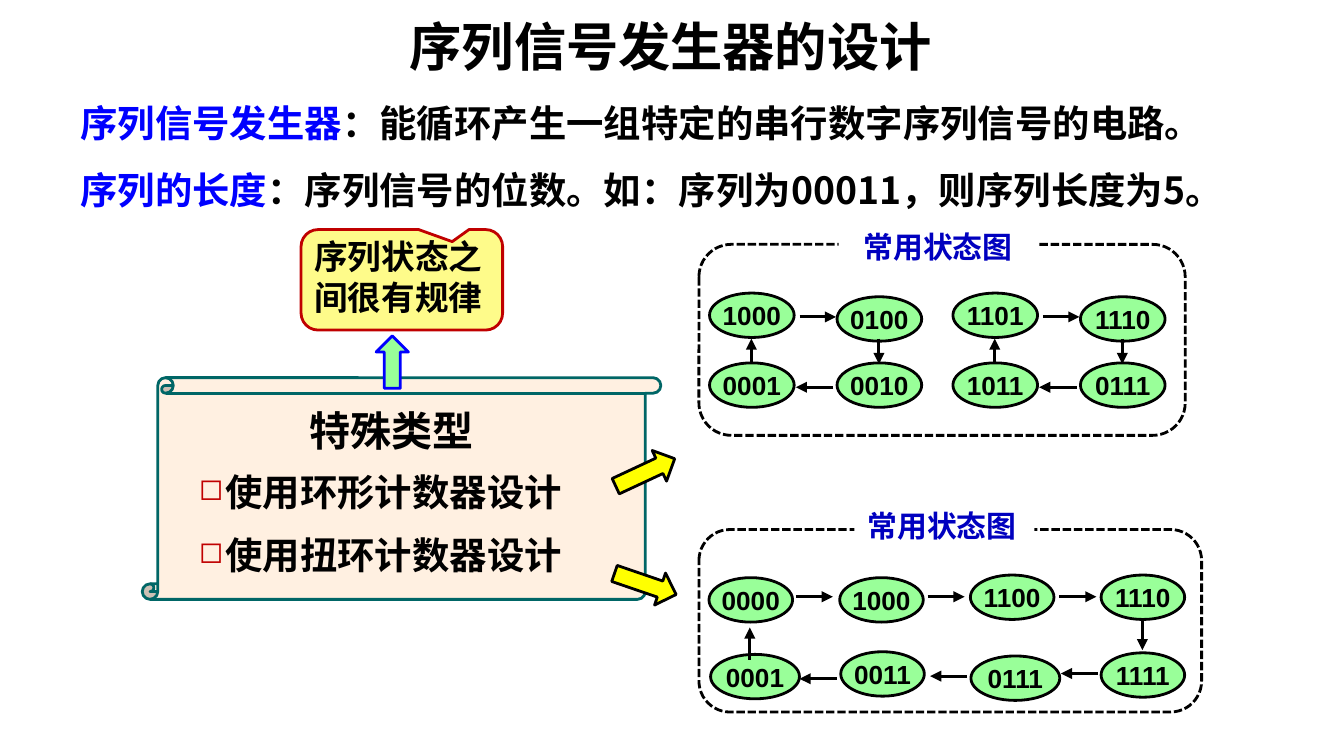
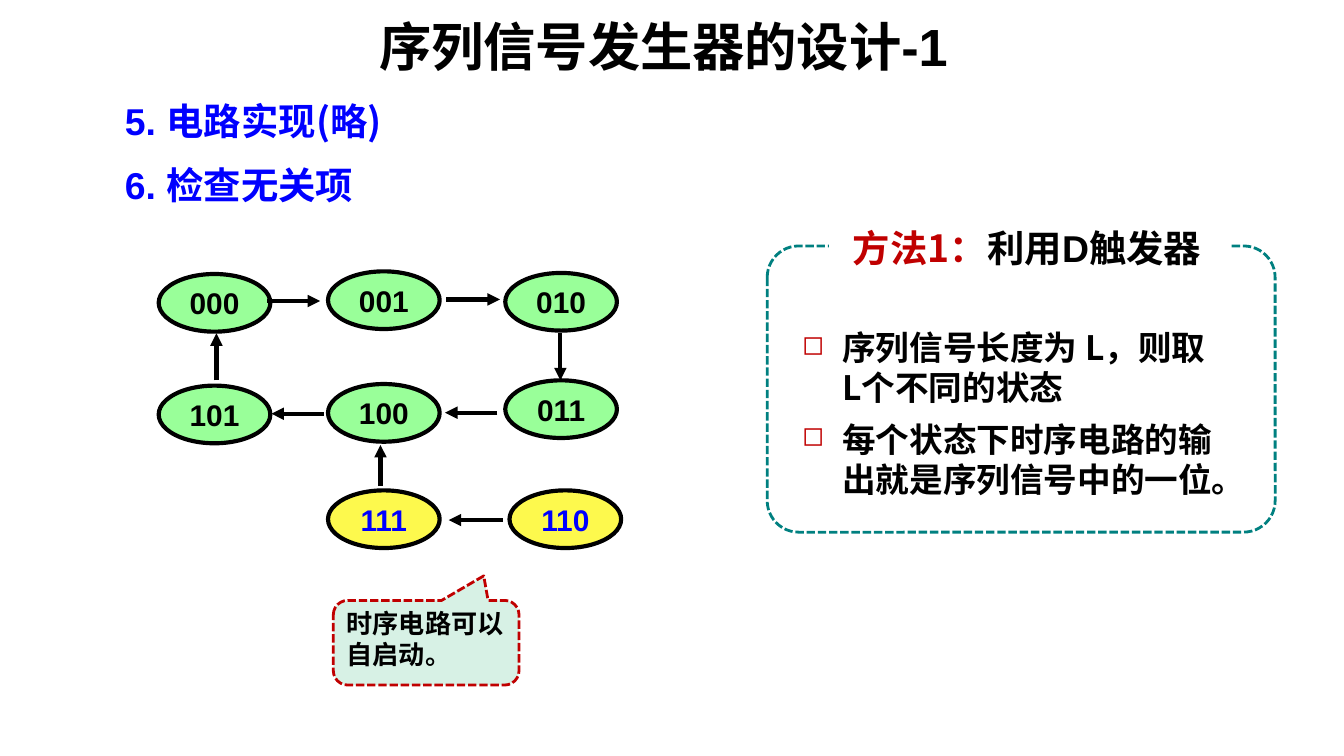
from lxml.etree import SubElement
from pptx import Presentation
from pptx.dml.color import RGBColor
from pptx.enum.dml import MSO_LINE_DASH_STYLE as Dash
from pptx.enum.shapes import MSO_CONNECTOR as Connector, MSO_SHAPE as Shape
from pptx.enum.text import MSO_ANCHOR as Anchor, MSO_AUTO_SIZE as AutoSize, PP_ALIGN as Align
from pptx.oxml.ns import qn
from pptx.util import Cm, Pt

CJK, LATIN = "Noto Sans CJK SC", "Arial"
BLACK, WHITE, BLUE, NAVY, RED = "000000", "FFFFFF", "0000FF", "0000BF", "C00000"
GREEN, YELLOW = "99FF99", "FDF94D"


def paint(target, color):
    """Give a fill a solid hex colour, or none."""
    if color:
        target.solid()
        target.fore_color.rgb = RGBColor.from_string(color)
    else:
        target.background()


def style_font(font, color=None, name=None, size=None):
    """Set the given font properties, using the CJK face for Chinese glyphs."""
    if size:
        font.size, font.bold = Pt(size), True
    if color:
        paint(font.fill, color)
    if name:
        font.name = name
        SubElement(font._element, qn("a:ea"), typeface=CJK)


def add_bullet(para, hang):
    """Give a paragraph a hanging red square bullet."""
    props = para._p.get_or_add_pPr()
    props.set("marL", str(Cm(hang)))
    props.set("indent", str(-Cm(hang)))
    SubElement(SubElement(props, qn("a:buClr")), qn("a:srgbClr"), val=RED)
    SubElement(props, qn("a:buSzPct"), val="80000")
    SubElement(props, qn("a:buChar"), char="◻")


class Board:
    """Draws the elements of the deck on its current page."""

    def __init__(self):
        """Open an empty widescreen deck."""
        self.deck = Presentation()
        self.deck.slide_width, self.deck.slide_height = Cm(25.4), Cm(14.29)
        self.page = None

    def new_page(self, left, width, *title):
        """Start a page with a centred title."""
        self.page = self.deck.slides.add_slide(self.deck.slide_layouts[6])
        self.text((left, 0.15, width, 1.45), [title], 28, align=Align.CENTER)

    def fill_frame(self, frame, paras, size, color=BLACK, name=CJK, align=Align.LEFT,
                   spacing=None, gap=0, hang=0, first=0):
        """Fill a text frame; a paragraph is a list of (text, colour, font) spans."""
        for index, spans in enumerate(paras):
            para = frame.add_paragraph() if index else frame.paragraphs[0]
            para.alignment = align
            if hang:
                add_bullet(para, hang)
            if first:
                para._p.get_or_add_pPr().set("indent", str(Cm(first)))
            if spacing:
                para.line_spacing = spacing
            if index and gap:
                para.space_before = Pt(gap)
            mixed = any(len(parts) > 2 for parts in spans)
            style_font(para.font, color, None if mixed else name, size)
            for text, *look in spans:
                span = para.add_run()
                span.text = text
                if mixed and len(look) < 2:
                    look = [look[0] if look else None, name]
                style_font(span.font, *look)

    def text(self, place, paras, size, **style):
        """Add a wrapping text box."""
        box = self.page.shapes.add_textbox(*map(Cm, place))
        box.text_frame.word_wrap = True
        box.text_frame.auto_size = AutoSize.SHAPE_TO_FIT_TEXT
        self.fill_frame(box.text_frame, paras, size, **style)

    def shape(self, kind, place, fill=None, line=None, width=1.5, dashed=False, adjust=(), turn=0):
        """Add a flat preset shape."""
        box = self.page.shapes.add_shape(kind, *map(Cm, place))
        box.shadow.inherit = False
        paint(box.fill, fill)
        paint(box.line.fill, line)
        if line:
            box.line.width = Pt(width)
        if dashed:
            box.line.dash_style = Dash.SQUARE_DOT
        for index, value in enumerate(adjust):
            box.adjustments[index] = value
        box.rotation = turn
        return box

    def state(self, code, left, top, width=1.6, height=0.84, size=14, line=1.5,
              fill=GREEN, color=BLACK):
        """Add an oval state with its code."""
        frame = self.shape(Shape.OVAL, (left, top, width, height), fill, BLACK, line).text_frame
        frame.margin_left = frame.margin_right = frame.margin_top = frame.margin_bottom = 0
        frame.vertical_anchor, frame.word_wrap = Anchor.MIDDLE, False
        self.fill_frame(frame, [[(code,)]], size, color, LATIN, Align.CENTER)

    def arrow(self, x1, y1, x2, y2, width=1.5):
        """Add a black arrow between two points."""
        link = self.page.shapes.add_connector(Connector.STRAIGHT, *map(Cm, (x1, y1, x2, y2)))
        link.line.width = Pt(width)
        paint(link.line.fill, BLACK)
        SubElement(link.line._get_or_add_ln(), qn("a:tailEnd"), type="triangle")
        SubElement(link._element.spPr, qn("a:effectLst"))

    def panel(self, place, label_place, spans, size, line=BLACK, corner=0.17, **style):
        """Add a dashed rounded frame with a label over its top edge."""
        self.shape(Shape.ROUNDED_RECTANGLE, place, None, line, dashed=True, adjust=[corner])
        frame = self.shape(Shape.RECTANGLE, label_place, WHITE).text_frame
        frame.word_wrap, frame.vertical_anchor = True, Anchor.TOP
        self.fill_frame(frame, [spans], size, **style)

    def ring(self, codes, shift):
        """Draw a four-state cycle moved right by a shift."""
        spots = [(13.41, 5.54), (15.82, 5.61), (15.82, 6.86), (13.41, 6.86)]
        for code, (left, top) in zip(codes, spots):
            self.state(code, left + shift, top)
        for x1, y1, x2, y2 in [(15.11, 5.99, 15.8, 5.99), (15.75, 7.32, 15.04, 7.32),
                               (14.2, 6.88, 14.2, 6.4), (16.61, 6.4, 16.61, 6.88)]:
            self.arrow(x1 + shift, y1, x2 + shift, y2)

    def twisted_ring(self):
        """Draw the eight-state cycle."""
        upper = [("0000", 10.92), ("1000", 10.92), ("1100", 10.87), ("1110", 10.87)]
        lower = [("0001", 12.37, 1.68), ("0011", 12.32, 1.58),
                 ("0111", 12.4, 1.68), ("1111", 12.34, 1.58)]
        for index, (code, top) in enumerate(upper):
            self.state(code, 13.4 + 2.47 * index, top, 1.58)
        for index, (code, top, width) in enumerate(lower):
            self.state(code, 13.43 + 2.46 * index, top, width)
        for index in range(3):
            start, end = 15.04 + 2.49 * index, 15.11 + 2.47 * index
            level = 12.83 - 0.05 * index
            self.arrow(start, 11.28, start + 0.7, 11.28)
            self.arrow(end + 0.7, level, end, level)
        self.arrow(14.17, 12.47, 14.17, 11.86)
        self.arrow(21.59, 11.68, 21.59, 12.29)


def draw_overview(board):
    """Draw the page on definitions and special types."""
    board.new_page(7.11, 11.13, ("序列信号发生器的设计",))
    board.text((1.27, 1.35, 23.44, 2.62), [
        [("序列信号发生器", BLUE), ("：能循环产生一组特定的串行数字序列信号的电路。",)],
        [("序列的长度", BLUE), ("：序列信号的位数。如：序列为00011，则序列长度为5。",)],
    ], 20, spacing=1.5)
    board.shape(Shape.VERTICAL_SCROLL, (2.69, 7.14, 9.8, 4.19), "FFF0E1", "006666", adjust=[0.07])
    board.text((3.51, 8.74, 8.81, 2.39), [[("使用环形计数器设计",)], [("使用扭环计数器设计",)]],
               20, gap=10, hang=0.5)
    board.text((4.9, 7.54, 5, 1.19), [[("特殊类型",)]], 22, align=Align.CENTER)
    for codes, shift in [(("1000", "0100", "0010", "0001"), 0),
                         (("1101", "1110", "0111", "1011"), 4.6)]:
        board.ring(codes, shift)
    label = [("常用状态图",)]
    board.panel((13.21, 4.62, 9.19, 3.61), (15.85, 4.19, 3.76, 0.94), label, 16,
                color=NAVY, align=Align.CENTER)
    board.twisted_ring()
    board.panel((13.21, 10.01, 9.5, 3.45), (16.15, 9.47, 3.4, 0.94), label, 16, color=NAVY)
    for top, turn in [(8.61, 335), (10.72, 18.9)]:
        board.shape(Shape.RIGHT_ARROW, (11.58, top, 1.23, 0.64), "FFFF00", BLACK,
                    adjust=[0.5, 0.5], turn=turn)
    board.shape(Shape.ROUNDED_RECTANGULAR_CALLOUT, (5.69, 4.34, 3.81, 1.9), "FEFB8A", RED,
                adjust=[0.25, -0.38, 0.17])
    board.text((5.69, 4.34, 4.09, 2.39), [[("序列状态之间很有规律",)]], 18)
    board.shape(Shape.UP_ARROW, (7.11, 6.35, 0.61, 0.99), GREEN, BLUE, adjust=[0.5, 0.5])


def draw_check(board):
    """Draw the page on checking the unused states."""
    board.new_page(2.29, 20.5, ("序列信号发生器的设计",), ("-1", BLACK, LATIN))
    for top, number, step in [(1.73, "5. ", "电路实现(略)"), (2.95, "6. ", "检查无关项")]:
        board.text((2.11, top, 6.81, 1.12), [[(number, BLUE, LATIN), (step,)]], 20, color=BLUE)
    used, unused = (GREEN, BLACK), (YELLOW, BLUE)
    for code, left, top, look in [
        ("000", 3, 5.18, used), ("001", 6.2, 5.13, used), ("010", 9.55, 5.16, used),
        ("011", 9.55, 7.19, used), ("100", 6.2, 7.26, used), ("101", 3, 7.29, used),
        ("110", 9.63, 9.27, unused), ("111", 6.2, 9.27, unused),
    ]:
        board.state(code, left, top, 2.11, 1.09, 16, 2.25, *look)
    for ends in [
        (5.05, 5.69, 6.05, 5.69), (8.43, 5.66, 9.45, 5.66), (10.59, 6.3, 10.59, 7.19),
        (9.4, 7.8, 8.41, 7.8), (6.12, 7.82, 5.13, 7.82), (4.09, 7.19, 4.09, 6.3),
        (7.19, 9.19, 7.19, 8.41), (9.5, 9.83, 8.48, 9.83),
    ]:
        board.arrow(*ends, 2.25)
    board.shape(Shape.ROUNDED_RECTANGULAR_CALLOUT, (6.3, 11.35, 3.51, 1.6), "D7F1E5", RED,
                dashed=True, adjust=[0.31, -0.79, 0.17])
    board.text((6.3, 11.35, 3.51, 1.52), [[("时序电路可以自启动。",)]], 14)
    board.text((14.91, 6.05, 8.41, 4.32), [
        [("序列信号长度为 L，则取L个不同的状态",)],
        [("每个状态下时序电路的输出就是序列信号中的一位。",)],
    ], 18, gap=6, hang=0.76)
    board.panel((14.5, 4.65, 9.6, 5.41), (15.67, 4.14, 7.59, 1.12),
                [("方法1：", RED), ("利用",), ("D", BLACK, LATIN), ("触发器",)], 20,
                line="008080", corner=0.11, first=0.2)


def main():
    """Build and save the deck."""
    board = Board()
    draw_overview(board)
    draw_check(board)
    board.deck.save("out.pptx")


if __name__ == "__main__":
    main()
